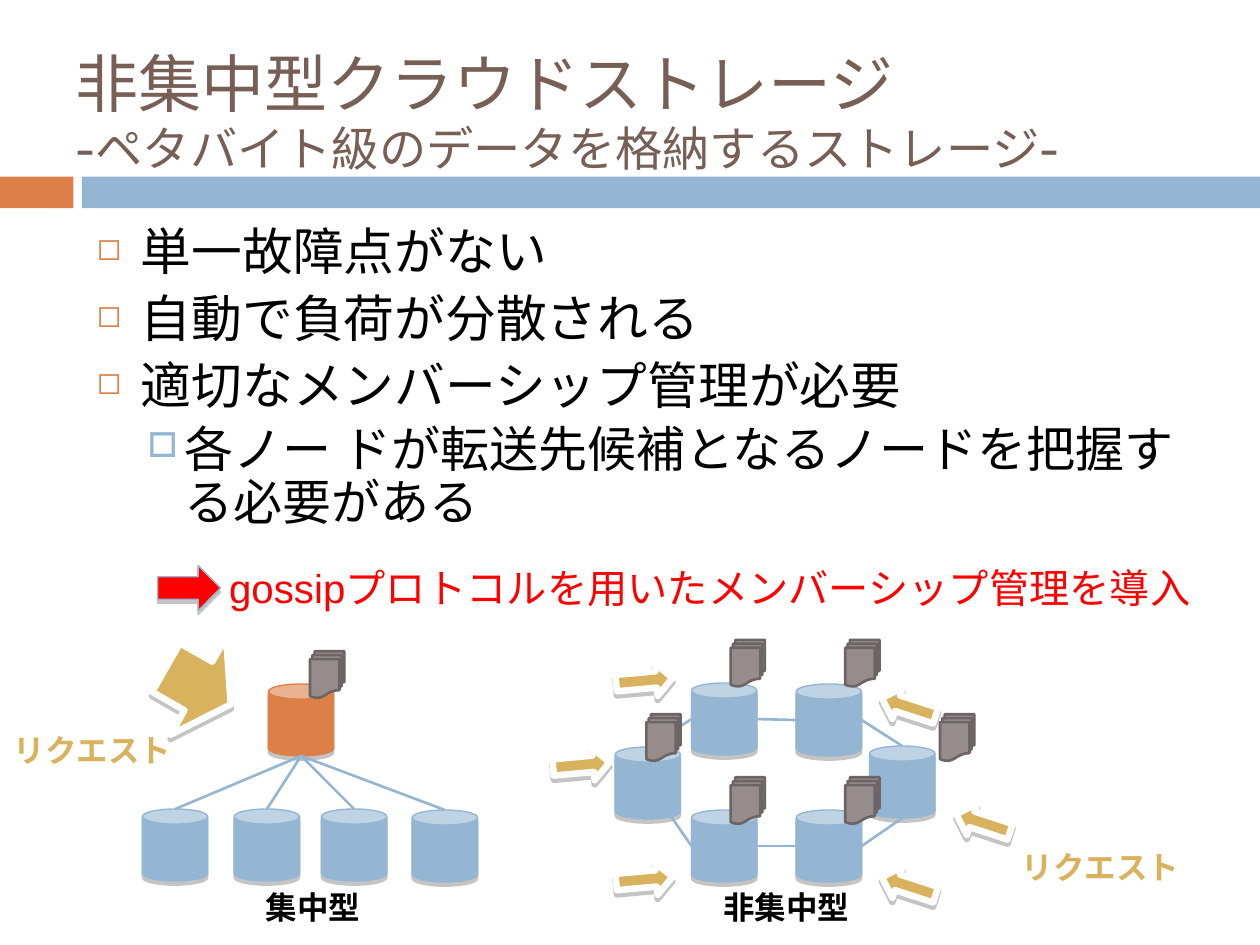
from itertools import product

from lxml import etree
from pptx import Presentation
from pptx.dml.color import RGBColor
from pptx.enum.shapes import MSO_CONNECTOR, MSO_SHAPE
from pptx.enum.text import MSO_ANCHOR, MSO_AUTO_SIZE, PP_ALIGN
from pptx.oxml.ns import qn
from pptx.util import Cm, Pt

RECTANGLE = MSO_SHAPE.RECTANGLE
CAN = MSO_SHAPE.CAN
ARROW = MSO_SHAPE.RIGHT_ARROW
DOCUMENTS = MSO_SHAPE.FLOWCHART_MULTIDOCUMENT
STRAIGHT = MSO_CONNECTOR.STRAIGHT
TOP = MSO_ANCHOR.TOP
LEFT = PP_ALIGN.LEFT
FIT_SHAPE = MSO_AUTO_SIZE.SHAPE_TO_FIT_TEXT
NO_FIT = MSO_AUTO_SIZE.NONE

COLORS = {
    "orange": "DD8047", "blue": "94B6D2", "brown": "775F55", "black": "000000",
    "red": "FF0000", "gold": "D8B25C", "white": "FFFFFF", "paper": "968C8C",
    "paper edge": "6D6565", "shadow": "808080",
}
BULLETS = [
    {"char": "◻", "color": "orange", "percent": 60, "left": 0.89, "hang": 0.89,
     "before": 7, "size": 29},
    {"char": "□", "color": "blue", "percent": 70, "left": 1.78, "hang": 0.76,
     "before": 5.5, "size": 28},
]
POINTS = [
    (0, "単一故障点がない"),
    (0, "自動で負荷が分散される"),
    (0, "適切なメンバーシップ管理が必要"),
    (1, "各ノー ドが転送先候補となるノードを把握する必要がある"),
]
CAN_SIZE = (1.32, 1.45)
DOCUMENTS_SIZE = (0.69, 0.94)
REQUEST_SIZE = (1.14, 0.66)

TREE_ROOT = (5.41, 13.79)
TREE_LEAVES = [(2.87, 16.31), (4.72, 16.31), (6.48, 16.31), (8.31, 16.33)]
RING = {
    "upper left": (13.94, 13.77), "upper right": (16.05, 13.79),
    "left": (12.4, 15.06), "right": (17.53, 15.04),
    "lower right": (16.05, 16.33), "lower left": (13.94, 16.33),
}
RING_LINKS = [
    ("upper right", "right", "right", "top"),
    ("right", "bottom", "lower right", "right"),
    ("lower right", "left", "lower left", "right"),
    ("left", "centre", "lower left", "left"),
    ("upper left", "right", "upper right", "left"),
    ("left", "top", "upper left", "left"),
]
ANCHORS = {"top": (0.5, 0), "left": (0, 0.5), "bottom": (0.5, 1),
           "right": (1, 0.5), "centre": (0.5, 0.5)}
REPLICAS = [(18.95, 14.4), (13.03, 14.4), *product((14.73, 17.04), (12.9, 15.67))]
REQUESTS = {
    -5.2: [(12.42, 13.39), (12.42, 17.4), (11.15, 15.09)],
    198: [(19.25, 16.26), (17.75, 13.92), (17.75, 17.53)],
}


def rgb(name):
    return RGBColor.from_string(COLORS[name])


def set_all(target, values):
    for name, value in values.items():
        setattr(target, name, value)


def add_color(parent, name):
    return etree.SubElement(parent, qn("a:srgbClr"), val=COLORS[name])


def write(para, text, size, color, font="Arial", bold=False):
    span = para.add_run()
    span.text = text
    set_all(span.font, {"name": font, "size": Pt(size), "bold": bold})
    span.font.color.rgb = rgb(color)


def add_shape(slide, kind, place, size, fill, line=None, width=0.79,
              shadow=False, rotation=0):
    shape = slide.shapes.add_shape(kind, *map(Cm, place + size))
    shape.rotation = rotation
    shape.fill.solid()
    shape.fill.fore_color.rgb = rgb(fill)
    if line:
        shape.line.color.rgb = rgb(line)
        shape.line.width = Pt(width)
    else:
        shape.line.fill.background()
    shape.shadow.inherit = False
    if shadow:
        effects = shape._element.spPr.find(qn("a:effectLst"))
        outer = etree.SubElement(effects, qn("a:outerShdw"), blurRad="0",
                                 dist=str(Pt(2.4)), dir="5400000", rotWithShape="0")
        etree.SubElement(add_color(outer, "shadow"), qn("a:alpha"), val="45000")
    return shape


def add_can(slide, place, color="blue"):
    can = add_shape(slide, CAN, place, CAN_SIZE, color, color, shadow=True)
    can.adjustments[0] = 0.23


def add_documents(slide, place):
    add_shape(slide, DOCUMENTS, place, DOCUMENTS_SIZE, "paper", "paper edge", 1.5)


def add_request(slide, place, rotation, size=REQUEST_SIZE):
    add_shape(slide, ARROW, place, size, "gold", "white", 3.75, True, rotation)


def anchor(place, side):
    """Point of a can, in centimetres, named by its side."""
    return [start + length * share
            for start, length, share in zip(place, CAN_SIZE, ANCHORS[side])]


def add_link(slide, start, end):
    link = slide.shapes.add_connector(STRAIGHT, *map(Cm, start + end))
    link.line.color.rgb = rgb("blue")
    link.line.width = Pt(1.5)
    etree.SubElement(link._element.spPr, qn("a:effectLst"))


def add_label(slide, text, place, size, color, points=18, bold=True):
    box = slide.shapes.add_textbox(*map(Cm, place + size))
    set_all(box.text_frame, {"word_wrap": False, "auto_size": FIT_SHAPE})
    write(box.text_frame.paragraphs[0], text, points, color, bold=bold)


def add_title(slide):
    title = slide.shapes.title
    set_all(title, {"left": Cm(1.27), "top": Cm(0.76),
                    "width": Cm(22.86), "height": Cm(3.28)})
    set_all(title.text_frame, {"vertical_anchor": TOP, "auto_size": NO_FIT})
    para = title.text_frame.paragraphs[0]
    para.alignment = LEFT
    write(para, "非集中型クラウドストレージ", 36, "brown", "Cabin")
    para.add_line_break()
    write(para, "-ペタバイト級のデータを格納するストレージ-", 27, "brown", "Cabin")


def add_points(slide):
    box = slide.shapes.add_textbox(Cm(1.7), Cm(4.45), Cm(22.66), Cm(6.99))
    frame = box.text_frame
    frame.word_wrap = True
    for index, (level, text) in enumerate(POINTS):
        para = frame.add_paragraph() if index else frame.paragraphs[0]
        bullet = BULLETS[level]
        set_all(para, {"level": level, "line_spacing": 0.9,
                       "space_before": Pt(bullet["before"])})
        props = para._p.get_or_add_pPr()
        props.set("marL", str(Cm(bullet["left"])))
        props.set("indent", str(-Cm(bullet["hang"])))
        add_color(etree.SubElement(props, qn("a:buClr")), bullet["color"])
        etree.SubElement(props, qn("a:buSzPct"), val=str(bullet["percent"] * 1000))
        etree.SubElement(props, qn("a:buChar"), char=bullet["char"])
        write(para, text, bullet["size"], "black", "Cabin")


def add_tree(slide):
    add_can(slide, TREE_ROOT, "orange")
    for leaf in TREE_LEAVES:
        add_can(slide, leaf)
        add_link(slide, anchor(TREE_ROOT, "bottom"), anchor(leaf, "top"))
    add_documents(slide, (6.25, 13.13))
    add_request(slide, (3.25, 12.7), 29.7, (1.5, 2.26))
    add_label(slide, "集中型", (5.11, 17.78), (2.41, 1.02), "black")
    add_label(slide, "リクエスト", (0.03, 14.61), (3.68, 1.02), "gold")


def add_ring(slide):
    for place in RING.values():
        add_can(slide, place)
    for start, start_side, end, end_side in RING_LINKS:
        add_link(slide, anchor(RING[start], start_side), anchor(RING[end], end_side))
    for place in REPLICAS:
        add_documents(slide, place)
    for rotation, places in REQUESTS.items():
        for place in places:
            add_request(slide, place, rotation)
    add_label(slide, "非集中型", (14.33, 17.78), (3.05, 1.02), "black")
    add_label(slide, "リクエスト", (20.35, 16.97), (3.68, 1.02), "gold")


def main():
    deck = Presentation()
    set_all(deck, {"slide_width": Cm(25.4), "slide_height": Cm(19.05)})
    slide = deck.slides.add_slide(deck.slide_layouts[5])
    add_shape(slide, RECTANGLE, (0, 3.56), (1.48, 0.64), "orange")
    add_shape(slide, RECTANGLE, (1.65, 3.56), (23.75, 0.64), "blue")
    add_title(slide)
    add_points(slide)
    add_label(slide, "gossipプロトコルを用いたメンバーシップ管理を導入",
              (4.37, 11.23), (20.12, 1.24), "red", 23, False)
    add_shape(slide, ARROW, (3.18, 11.4), (1.27, 0.91), "red", "blue", shadow=True)
    add_tree(slide)
    add_ring(slide)
    deck.save("out.pptx")


if __name__ == "__main__":
    main()
